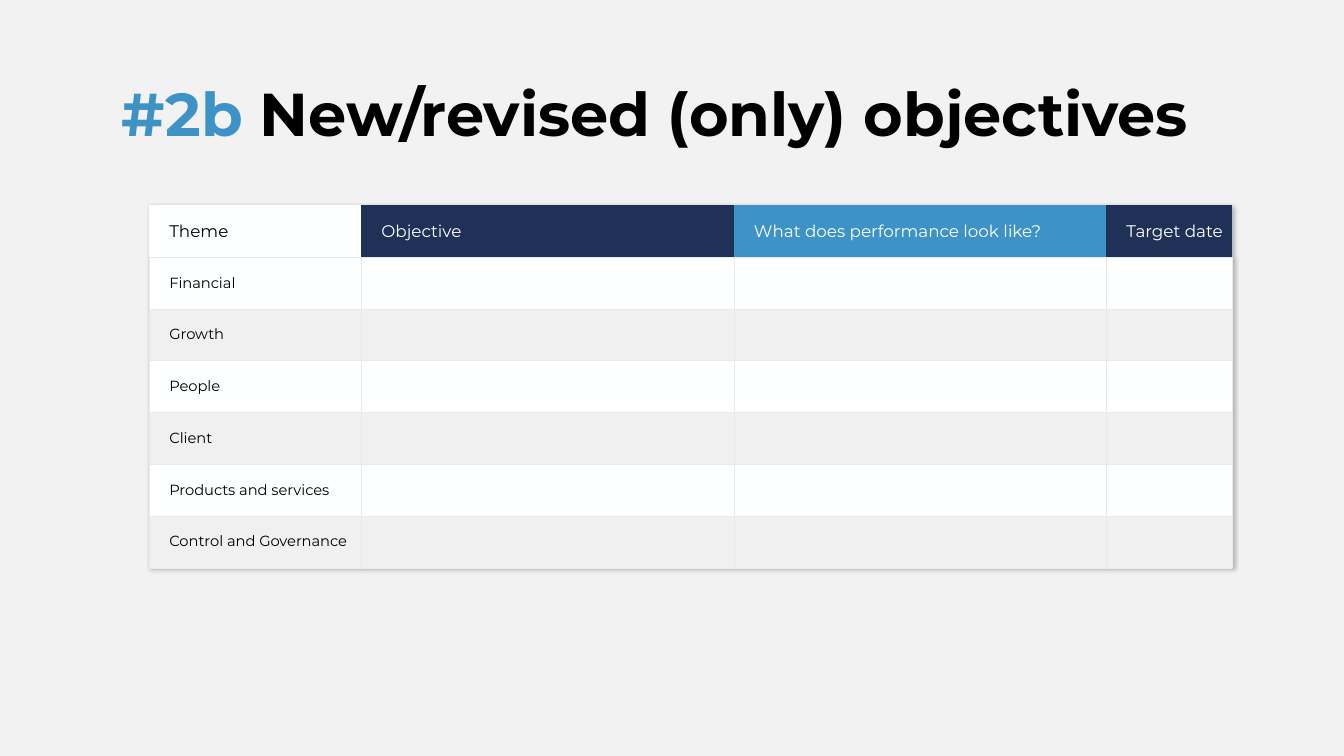
from dataclasses import dataclass

import lxml.etree
import pptx
import pptx.dml.color
import pptx.enum.text
import pptx.oxml
import pptx.oxml.ns
import pptx.util

SLIDE_WIDTH = pptx.util.Inches(13.33)
SLIDE_HEIGHT = pptx.util.Inches(7.5)
GRID_COLUMNS = 160
GRID_ROWS = 90


@dataclass(frozen=True)
class Theme:
    font: str = "Montserrat"
    background: str = "F2F2F2"
    ink: str = "000000"
    white: str = "FFFFFF"
    navy: str = "1F3156"
    blue: str = "3D92C6"
    light_row: str = "FEFFFF"
    shaded_row: str = "F0F0F0"
    border: str = "E9E9E9"
    border_width: float = 0.25
    title_size: float = 43.2
    header_size: float = 12
    theme_size: float = 10.5


@dataclass(frozen=True)
class Column:
    heading: str
    span: float
    fill: str
    ink: str


@dataclass(frozen=True)
class Area:
    column: float
    row: float
    columns: float
    rows: float

    def box(self) -> tuple[int, int, int, int]:
        return across(self.column), down(self.row), across(self.columns), down(self.rows)


THEME = Theme()
COLUMNS = [
    Column("Theme", 25.24, THEME.light_row, THEME.ink),
    Column("Objective", 44.35, THEME.navy, THEME.white),
    Column("What does performance look like?", 44.35, THEME.blue, THEME.white),
    Column("Target date", 15, THEME.navy, THEME.white),
]
THEMES = ["Financial", "Growth", "People", "Client", "Products and services", "Control and Governance"]
ROW_SPAN = 6.17
TITLE_AREA = Area(13.32, 9.48, 134.28, 16.44)
TABLE_AREA = Area(17.76, 24.42, sum(column.span for column in COLUMNS), ROW_SPAN * (len(THEMES) + 1))


def across(columns: float) -> int:
    return round(SLIDE_WIDTH * columns / GRID_COLUMNS)


def down(rows: float) -> int:
    return round(SLIDE_HEIGHT * rows / GRID_ROWS)


def rgb(value: str) -> pptx.dml.color.RGBColor:
    return pptx.dml.color.RGBColor.from_string(value)


def set_borders(cell, visible_sides: str) -> None:
    properties = cell._tc.get_or_add_tcPr()
    for index, side in enumerate("LRTB"):
        line = lxml.etree.Element(pptx.oxml.ns.qn(f"a:ln{side}"))
        line.set("w", str(pptx.util.Pt(THEME.border_width)))
        if side in visible_sides:
            fill = lxml.etree.SubElement(line, pptx.oxml.ns.qn("a:solidFill"))
            lxml.etree.SubElement(fill, pptx.oxml.ns.qn("a:srgbClr")).set("val", THEME.border)
        else:
            lxml.etree.SubElement(line, pptx.oxml.ns.qn("a:noFill"))
        properties.insert(index, line)


def fill_cell(cell, text: str, fill: str, ink: str, size: float, borders: str) -> None:
    cell.fill.solid()
    cell.fill.fore_color.rgb = rgb(fill)
    cell.vertical_anchor = pptx.enum.text.MSO_ANCHOR.MIDDLE
    cell.margin_left = pptx.util.Inches(0.2)
    cell.margin_right = cell.margin_top = cell.margin_bottom = 0
    paragraph = cell.text_frame.paragraphs[0]
    if text:
        paragraph.text = text
    paragraph.font.name = THEME.font
    paragraph.font.size = pptx.util.Pt(size)
    paragraph.font.color.rgb = rgb(ink)
    set_borders(cell, borders)


def add_table_shadow(table) -> None:
    effects = pptx.oxml.parse_xml(
        f'<a:effectLst {pptx.oxml.ns.nsdecls("a")}>'
        '<a:outerShdw blurRad="38100" dist="19050" dir="2700000" algn="tl" rotWithShape="0">'
        f'<a:srgbClr val="{THEME.ink}"><a:alpha val="25000"/></a:srgbClr>'
        "</a:outerShdw></a:effectLst>"
    )
    table._tbl.tblPr.insert(0, effects)


def add_objectives(slide) -> None:
    objectives = slide.shapes.add_table(len(THEMES) + 1, len(COLUMNS), *TABLE_AREA.box()).table
    objectives.first_row = False
    objectives.horz_banding = False
    add_table_shadow(objectives)
    for row in objectives.rows:
        row.height = down(ROW_SPAN)
    for index, column in enumerate(COLUMNS):
        objectives.columns[index].width = across(column.span)
        fill_cell(objectives.cell(0, index), column.heading, column.fill, column.ink, THEME.header_size, "B")
        for row, theme_name in enumerate(THEMES, start=1):
            fill = THEME.light_row if row % 2 else THEME.shaded_row
            text = theme_name if index == 0 else ""
            fill_cell(objectives.cell(row, index), text, fill, THEME.ink, THEME.theme_size, "LRTB")


def add_title(slide) -> None:
    frame = slide.shapes.add_textbox(*TITLE_AREA.box()).text_frame
    frame.word_wrap = True
    title = frame.paragraphs[0]
    title.line_spacing = 0.9
    title.font.name = THEME.font
    title.font.size = pptx.util.Pt(THEME.title_size)
    title.font.bold = True
    for text, ink in [("#2b ", THEME.blue), ("New/revised (only) objectives", THEME.ink)]:
        run = title.add_run()
        run.text = text
        run.font.color.rgb = rgb(ink)


def main() -> None:
    presentation = pptx.Presentation()
    presentation.slide_width = SLIDE_WIDTH
    presentation.slide_height = SLIDE_HEIGHT
    slide = presentation.slides.add_slide(presentation.slide_layouts[6])
    slide.background.fill.solid()
    slide.background.fill.fore_color.rgb = rgb(THEME.background)
    add_objectives(slide)
    add_title(slide)
    presentation.save("out.pptx")


if __name__ == "__main__":
    main()
